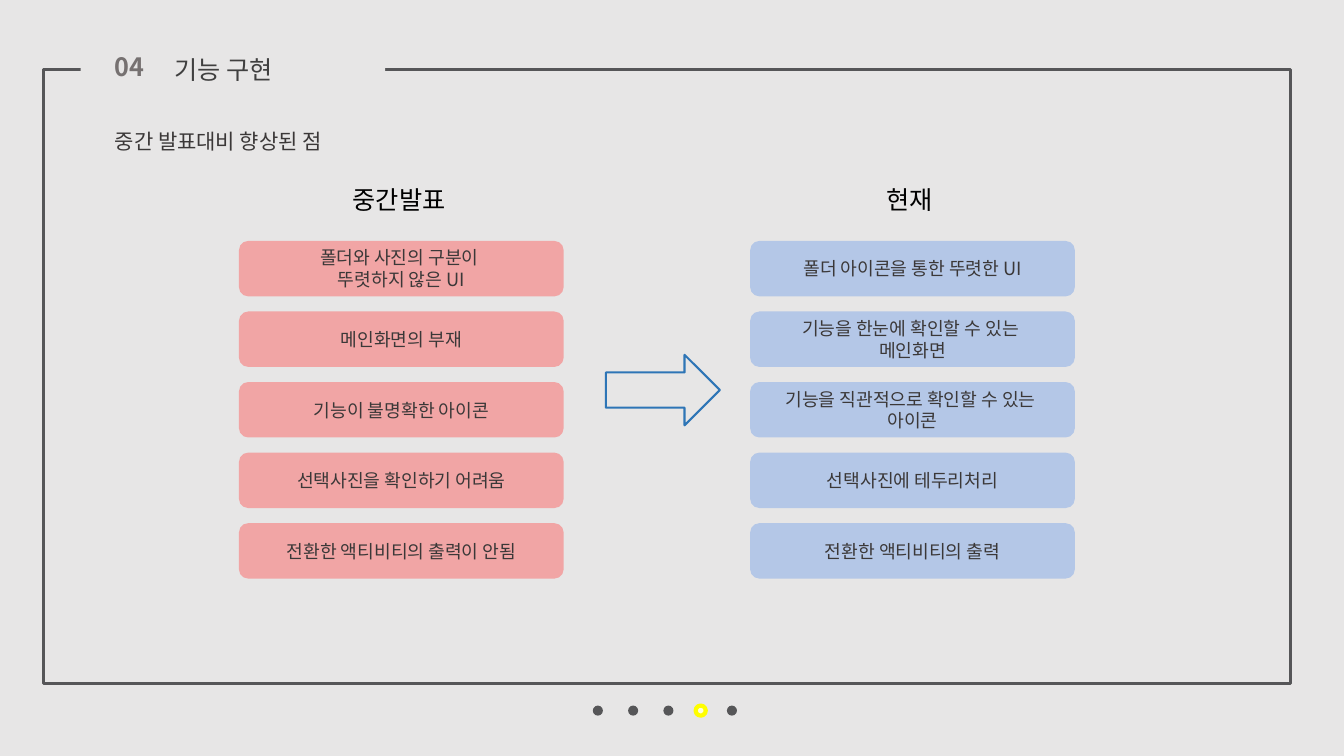
from typing import NamedTuple, Optional

from lxml.etree import SubElement
from pptx import Presentation
from pptx.dml.color import RGBColor
from pptx.enum.shapes import MSO_SHAPE as Preset
from pptx.enum.text import MSO_ANCHOR as Anchor, MSO_AUTO_SIZE as AutoSize, PP_ALIGN as Align
from pptx.oxml.ns import qn
from pptx.util import Pt

EMU_PER_PX = 9144
FONT = "Noto Sans CJK KR"

BACKGROUND = RGBColor(0xE7, 0xE6, 0xE6)
FRAME_GRAY = RGBColor(0x56, 0x56, 0x58)
NUMBER_GRAY = RGBColor(0x76, 0x71, 0x71)
TITLE_GRAY = RGBColor(0x40, 0x40, 0x40)
BODY_GRAY = RGBColor(0x3B, 0x38, 0x38)
BLACK = RGBColor(0x00, 0x00, 0x00)
BEFORE_RED = RGBColor(0xFF, 0x50, 0x50)
AFTER_BLUE = RGBColor(0xB4, 0xC7, 0xE7)
ARROW_BLUE = RGBColor(0x2E, 0x75, 0xB6)
ACTIVE_FILL = RGBColor(0xFF, 0xFF, 0xDD)
ACTIVE_LINE = RGBColor(0xFF, 0xFE, 0x00)

CARD_WIDTH, CARD_HEIGHT = 322, 55
CARD_TOP, CARD_STEP = 239, 70
DOT_LEFTS = (588, 623, 658, 690, 721)
ACTIVE_DOT = 3


class Box(NamedTuple):
    left: int
    top: int
    width: int
    height: int


class Column(NamedTuple):
    heading: str
    heading_box: Box
    left: int
    fill: RGBColor
    opacity: int
    cards: tuple[str, ...]


COLUMNS = (
    Column("중간발표", Box(340, 178, 116, 40), 237, BEFORE_RED, 43, (
        "폴더와 사진의 구분이 \v뚜렷하지 않은 UI",
        "메인화면의 부재",
        "기능이 불명확한 아이콘",
        "선택사진을 확인하기 어려움",
        "전환한 액티비티의 출력이 안됨",
    )),
    Column("현재", Box(869, 178, 68, 40), 744, AFTER_BLUE, 100, (
        "폴더 아이콘을 통한 뚜렷한 UI",
        "기능을 한눈에 확인할 수 있는 \n메인화면",
        "기능을 직관적으로 확인할 수 있는 \n아이콘",
        "선택사진에 테두리처리",
        "전환한 액티비티의 출력",
    )),
)


def px(length: int) -> int:
    return length * EMU_PER_PX


def write(shape, text: str, *, size: int, color: RGBColor, bold: bool = False,
          align: Align = Align.LEFT, anchor: Anchor = Anchor.TOP, wrap: bool = True) -> None:
    frame = shape.text_frame
    frame.text = text
    frame.word_wrap = wrap
    frame.auto_size = AutoSize.NONE
    frame.vertical_anchor = anchor
    for paragraph in frame.paragraphs:
        paragraph.alignment = align
        for run in paragraph.runs:
            font = run.font
            font.name, font.size, font.bold = FONT, Pt(size), bold
            font.color.rgb = color
            SubElement(font._element, qn("a:ea")).set("typeface", FONT)


def add_text(slide, box: Box, text: str, **text_format) -> None:
    write(slide.shapes.add_textbox(*map(px, box)), text, **text_format)


def add_preset(slide, preset: Preset, box: Box, *, fill: Optional[RGBColor] = None,
               opacity: int = 100, line: Optional[RGBColor] = None, line_width: float = 1):
    shape = slide.shapes.add_shape(preset, *map(px, box))
    shape.shadow.inherit = False
    if fill is None:
        shape.fill.background()
    else:
        shape.fill.solid()
        shape.fill.fore_color.rgb = fill
        if opacity < 100:
            color = shape.element.spPr.find(qn("a:solidFill")).find(qn("a:srgbClr"))
            SubElement(color, qn("a:alpha")).set("val", str(opacity * 1000))
    if line is None:
        shape.line.fill.background()
    else:
        shape.line.color.rgb = line
        shape.line.width = Pt(line_width)
    return shape


def add_column(slide, column: Column) -> None:
    add_text(slide, column.heading_box, column.heading, size=18, color=BLACK, wrap=False)
    for row, text in enumerate(column.cards):
        box = Box(column.left, CARD_TOP + row * CARD_STEP, CARD_WIDTH, CARD_HEIGHT)
        card = add_preset(slide, Preset.ROUNDED_RECTANGLE, box,
                          fill=column.fill, opacity=column.opacity)
        write(card, text, size=13, color=BODY_GRAY, align=Align.CENTER, anchor=Anchor.MIDDLE)


def add_page_dots(slide) -> None:
    for index, left in enumerate(DOT_LEFTS):
        box = Box(left, 700, 10, 10)
        if index == ACTIVE_DOT:
            add_preset(slide, Preset.OVAL, box, fill=ACTIVE_FILL, line=ACTIVE_LINE, line_width=3)
        else:
            add_preset(slide, Preset.OVAL, box, fill=FRAME_GRAY)


def add_header(slide) -> None:
    add_preset(slide, Preset.RECTANGLE, Box(43, 69, 1237, 609), line=FRAME_GRAY, line_width=2)
    add_preset(slide, Preset.RECTANGLE, Box(80, 54, 302, 39), fill=BACKGROUND)
    add_text(slide, Box(104, 46, 59, 41), "04", size=18, color=NUMBER_GRAY, bold=True)
    title = slide.shapes.title
    title.left, title.top, title.width, title.height = map(px, Box(163, 49, 235, 40))
    write(title, "기능 구현", size=18, color=TITLE_GRAY)
    title.element.getparent().append(title.element)
    add_text(slide, Box(104, 123, 240, 35), "중간 발표대비 향상된 점",
             size=15, color=BODY_GRAY, wrap=False)


def main() -> None:
    presentation = Presentation()
    presentation.slide_width, presentation.slide_height = px(1333), px(750)
    slide = presentation.slides.add_slide(presentation.slide_layouts[5])
    slide.background.fill.solid()
    slide.background.fill.fore_color.rgb = BACKGROUND
    add_header(slide)
    for column in COLUMNS:
        add_column(slide, column)
    add_preset(slide, Preset.RIGHT_ARROW, Box(601, 352, 113, 70), line=ARROW_BLUE, line_width=1.5)
    add_page_dots(slide)
    presentation.save("out.pptx")


if __name__ == "__main__":
    main()
